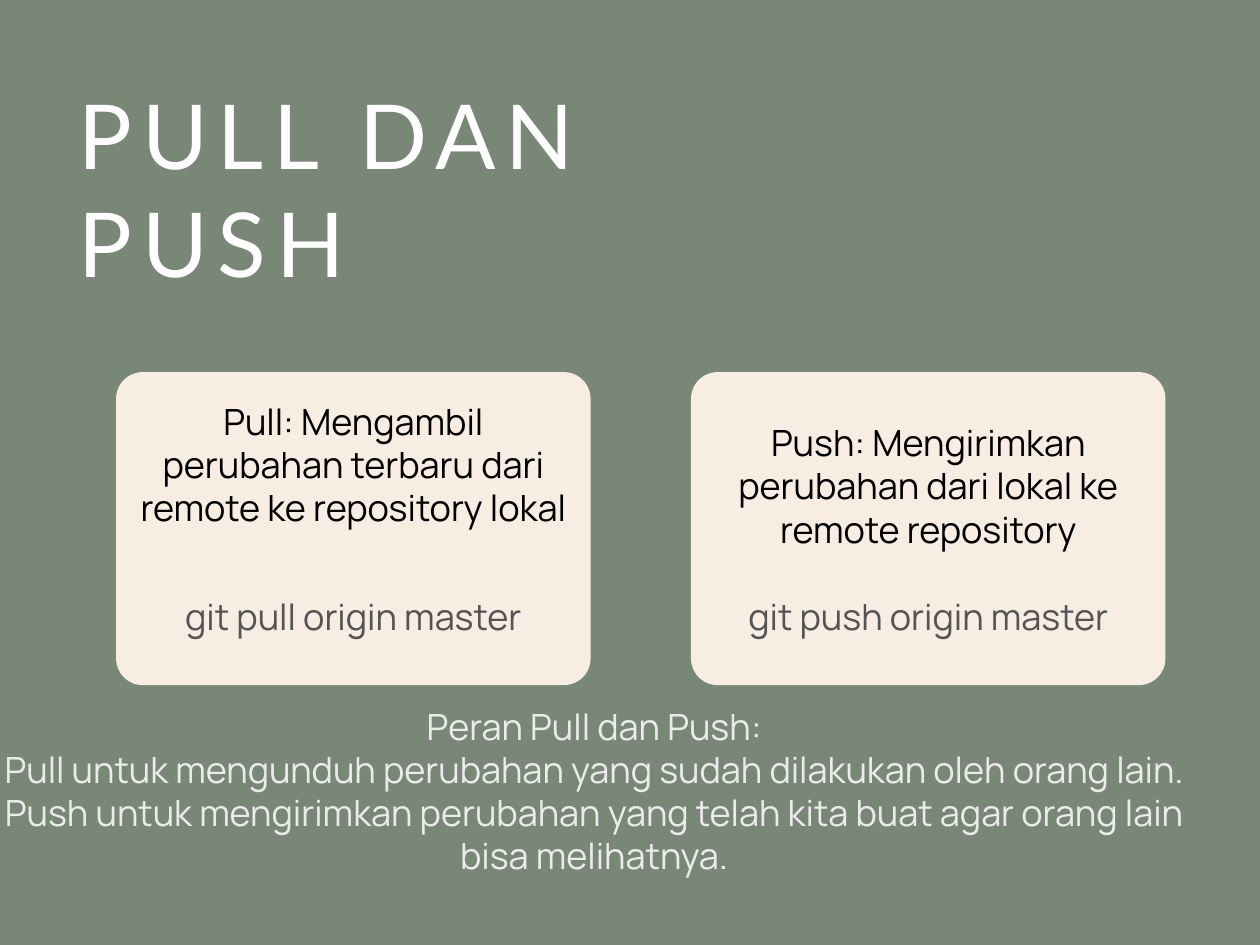
from dataclasses import dataclass

from lxml import etree
from pptx import Presentation
from pptx import util as u
from pptx.dml.color import RGBColor
from pptx.enum import shapes, text
from pptx.oxml.ns import qn

COLUMNS, ROWS = 32, 24


@dataclass(frozen=True)
class Theme:
    background: str = "798777"
    card: str = "F8EDE3"
    heading: str = "FFFFFF"
    explanation: str = "000000"
    command: str = "545454"
    roles: str = "EBEBEB"
    heading_font: str = "Lato"
    body_font: str = "Manrope"
    heading_size: float = 54.6
    heading_leading: float = 65.5
    body_size: float = 22
    body_leading: float = 26.4


def write(frame, paragraphs, *, font, size, color, leading,
          align=text.PP_ALIGN.CENTER, tracking=0):
    """Fill a text frame with evenly formatted paragraphs."""
    frame.margin_left = frame.margin_right = 0
    frame.margin_top = frame.margin_bottom = 0
    frame.word_wrap = True
    frame.auto_size = text.MSO_AUTO_SIZE.NONE
    frame.vertical_anchor = text.MSO_ANCHOR.TOP
    frame.text = "\n".join(paragraphs)
    for paragraph in frame.paragraphs:
        paragraph.alignment = align
        paragraph.line_spacing = u.Pt(leading)
        paragraph.space_before = paragraph.space_after = u.Pt(0)
        properties = paragraph._p.get_or_add_pPr()
        properties.set("marL", "0")
        properties.set("indent", "0")
        etree.SubElement(properties, qn("a:buNone"))
        for run in paragraph.runs:
            run.font.name = font
            run.font.size = u.Pt(size)
            run.font.color.rgb = RGBColor.from_string(color)
            if tracking:
                run.font._element.set("spc", str(tracking * 100))


class SlideBuilder:
    def __init__(self, deck, theme):
        self.theme = theme
        self.column = deck.slide_width / COLUMNS
        self.row = deck.slide_height / ROWS
        self.slide = deck.slides.add_slide(deck.slide_layouts[1])
        fill = self.slide.background.fill
        fill.solid()
        fill.fore_color.rgb = RGBColor.from_string(theme.background)

    def area(self, left, top, width, height):
        return (round(left * self.column), round(top * self.row),
                round(width * self.column), round(height * self.row))

    def place(self, shape, *cells):
        shape.left, shape.top, shape.width, shape.height = self.area(*cells)

    def body_style(self, color):
        return dict(font=self.theme.body_font, size=self.theme.body_size,
                    leading=self.theme.body_leading, color=color)

    def title(self, wording, *cells):
        heading = self.slide.shapes.title
        self.place(heading, *cells)
        write(heading.text_frame, [wording], font=self.theme.heading_font,
              size=self.theme.heading_size, color=self.theme.heading,
              leading=self.theme.heading_leading,
              align=text.PP_ALIGN.LEFT, tracking=6)

    def body(self, paragraphs, *cells):
        roles = self.slide.placeholders[1]
        self.place(roles, *cells)
        write(roles.text_frame, paragraphs, **self.body_style(self.theme.roles))

    def card(self, *cells):
        card = self.slide.shapes.add_shape(
            shapes.MSO_SHAPE.ROUNDED_RECTANGLE, *self.area(*cells))
        card.adjustments[0] = 0.085
        card.shadow.inherit = False
        card.fill.solid()
        card.fill.fore_color.rgb = RGBColor.from_string(self.theme.card)
        card.line.fill.background()

    def label(self, wording, color, *cells):
        label = self.slide.shapes.add_textbox(*self.area(*cells))
        write(label.text_frame, [wording], **self.body_style(color))


def main():
    deck = Presentation()
    deck.slide_width, deck.slide_height = u.Inches(10.67), u.Inches(8)
    theme = Theme()
    page = SlideBuilder(deck, theme)

    # Heading
    page.title("PULL DAN PUSH", 2, 2.04, 14, 5.46)

    # One card per command: explanation above, command below
    card_left, card_width, card_pitch, inset = 2.95, 12.05, 14.6, 0.34
    commands = [
        ("Pull: Mengambil perubahan terbaru dari remote ke repository lokal",
         "git pull origin master", 10.14),
        ("Push: Mengirimkan perubahan dari lokal ke remote repository",
         "git push origin master", 10.68),
    ]
    for index, (explanation, command, explanation_top) in enumerate(commands):
        left = card_left + index * card_pitch
        text_left, text_width = left + inset, card_width - 2 * inset
        page.card(left, 9.45, card_width, 7.95)
        page.label(explanation, theme.explanation,
                   text_left, explanation_top, text_width, 3.33)
        page.label(command, theme.command, text_left, 15.09, text_width, 1.17)

    # Roles of the two commands
    page.body([
        "Peran Pull dan Push:",
        "Pull untuk mengunduh perubahan yang sudah dilakukan oleh orang lain.",
        "Push untuk mengirimkan perubahan yang telah kita buat agar orang lain "
        "bisa melihatnya.",
    ], 0, 17.88, 30.18, 5.52)

    deck.save("out.pptx")


if __name__ == "__main__":
    main()
